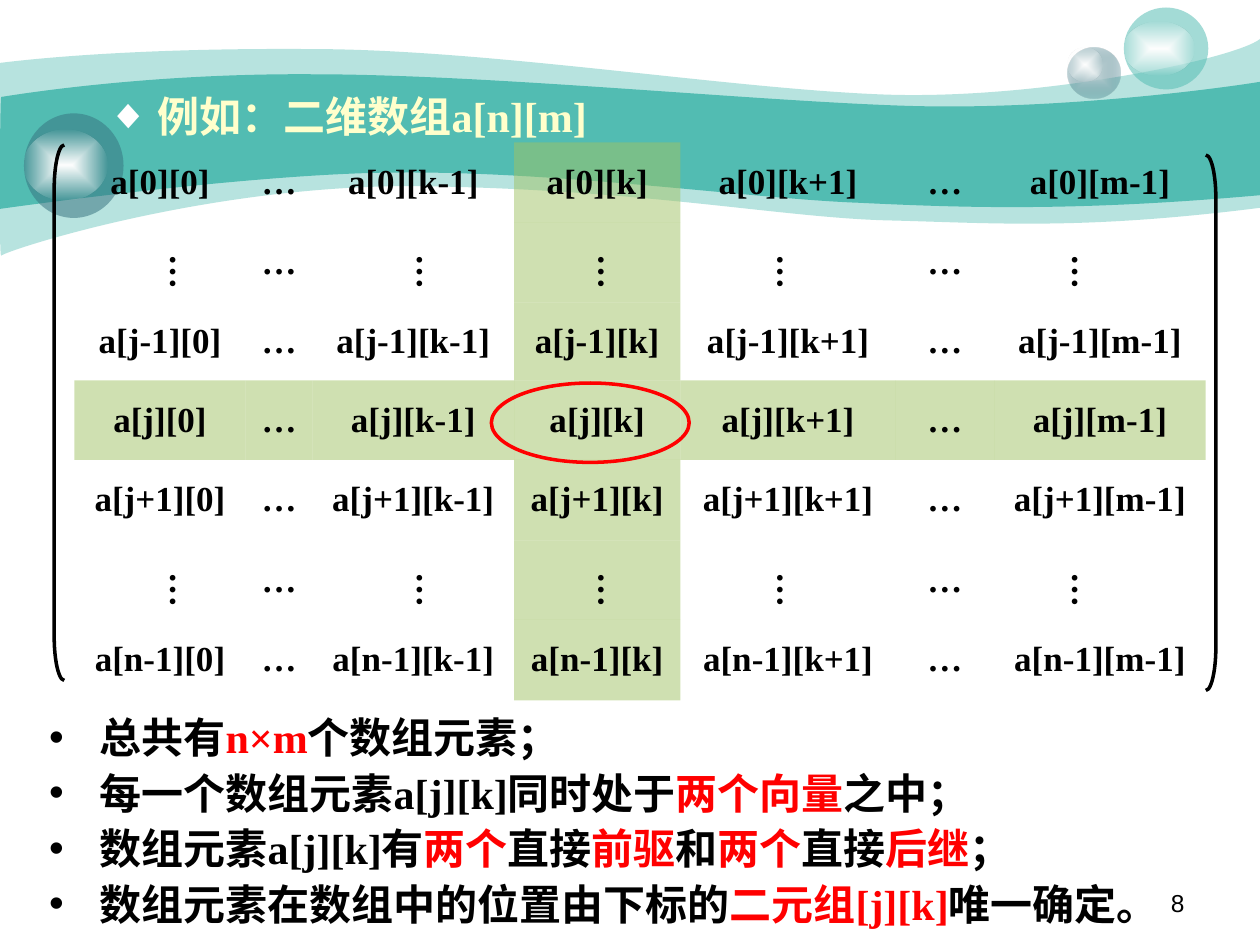
from lxml import etree
from pptx import Presentation
from pptx.dml.color import RGBColor
from pptx.enum.shapes import MSO_SHAPE as Shape
from pptx.enum.text import MSO_ANCHOR as Anchor, MSO_AUTO_SIZE as AutoSize, PP_ALIGN as Align
from pptx.oxml import parse_xml
from pptx.oxml.ns import nsdecls, qn
from pptx.util import Inches, Pt

BLACK = RGBColor(0x00, 0x00, 0x00)
WHITE = RGBColor(0xFF, 0xFF, 0xFF)
RED = RGBColor(0xFF, 0x00, 0x00)
CREAM = RGBColor(0xFF, 0xFF, 0xCC)
TEAL = RGBColor(0x52, 0xBC, 0xB2)
SLATE = RGBColor(0x37, 0x73, 0x7F)
PALE = RGBColor(0xCC, 0xDB, 0xDE)
GREEN = RGBColor(0xA0, 0xC2, 0x64)

SERIF, SANS = "Times New Roman", "Arial"
NO_TABLE_STYLE = "{2D5ABB26-0587-4C30-8999-92F81FD0307C}"


class MatrixSlide:
    def __init__(self, slide, size=20):
        self.slide = slide
        self.shapes = slide.shapes
        self.size = size

    def set_fill(self, fill, color, alpha=100):
        fill.solid()
        fill.fore_color.rgb = color
        if alpha < 100:
            solid = fill._xPr.find(qn("a:solidFill"))
            etree.SubElement(solid[0], qn("a:alpha"), val=str(alpha * 1000))

    def add_run(self, paragraph, text, color=BLACK, size=None, font=SERIF, bold=True):
        run = paragraph.add_run()
        run.text = text
        run.font.name, run.font.size, run.font.bold = font, Pt(size or self.size), bold
        run.font.color.rgb = color

    def outline(self, kind, left, top, width, height, color):
        shape = self.shapes.add_shape(kind, *map(Inches, (left, top, width, height)))
        shape.shadow.inherit = False
        shape.fill.background()
        shape.line.color.rgb = color
        shape.line.width = Pt(2)
        return shape

    def wave(self, start, segments, alpha=100):
        """Closed band; a segment is one point (line) or three (curve)."""
        points = [(Inches(x), Inches(y)) for segment in segments for x, y in segment]
        builder = self.shapes.build_freeform(*map(Inches, start))
        builder.add_line_segments(points, close=True)
        band = builder.convert_to_shape()
        band.shadow.inherit = False
        band.line.fill.background()
        self.set_fill(band.fill, TEAL, alpha)
        # Merge the three lines of each curve segment into one Bézier
        lines = iter(list(band._element.iter(qn("a:lnTo"))))
        for segment in segments:
            steps = [next(lines) for _ in segment]
            if len(steps) == 3:
                curve = etree.Element(qn("a:cubicBezTo"))
                steps[0].addprevious(curve)
                for step in steps:
                    curve.append(step[0])
                    step.getparent().remove(step)

    def ball(self, box, color, alpha=100, fade_to=None):
        """Ellipse with a flat fill, or one that fades outwards to (color, alpha)."""
        ball = self.shapes.add_shape(Shape.OVAL, *map(Inches, box))
        ball.shadow.inherit = False
        ball.line.fill.background()
        self.set_fill(ball.fill, color, alpha)
        if fade_to:
            edge, edge_alpha = fade_to
            solid = ball._element.spPr.find(qn("a:solidFill"))
            solid.getparent().replace(solid, parse_xml(
                f'<a:gradFill {nsdecls("a")}><a:gsLst>'
                f'<a:gs pos="0"><a:srgbClr val="{color}"/></a:gs>'
                f'<a:gs pos="100000"><a:srgbClr val="{edge}">'
                f'<a:alpha val="{edge_alpha * 1000}"/></a:srgbClr></a:gs></a:gsLst>'
                '<a:path path="rect"><a:fillToRect l="50000" t="50000" r="50000" b="50000"/>'
                '</a:path></a:gradFill>'))

    def text_box(self, text, box, align=Align.LEFT, vertical=False, **style):
        text_box = self.shapes.add_textbox(*map(Inches, box))
        frame = text_box.text_frame
        frame.word_wrap = True
        if vertical:
            frame.auto_size = AutoSize.SHAPE_TO_FIT_TEXT
            frame.margin_left = frame.margin_right = Inches(0.05)
            frame.margin_top = frame.margin_bottom = Inches(0.1)
            frame._txBody.bodyPr.set("vert", "eaVert")
        frame.paragraphs[0].alignment = align
        self.add_run(frame.paragraphs[0], text, **style)

    def bullets(self, holder, box, lines, mark, mark_color, margin, spacing):
        """Fill a placeholder with bulleted lines of (text, color) runs."""
        holder.left, holder.top, holder.width, holder.height = map(Inches, box)
        self.shapes._spTree.append(holder._element)  # bring in front of the bands
        frame = holder.text_frame
        frame.word_wrap, frame.auto_size = True, AutoSize.NONE
        frame.vertical_anchor = Anchor.TOP
        for index, runs in enumerate(lines):
            paragraph = frame.add_paragraph() if index else frame.paragraphs[0]
            props = paragraph._p.get_or_add_pPr()
            props.set("marL", str(Inches(margin)))
            props.set("indent", str(Inches(-0.4)))
            color = etree.SubElement(props, qn("a:buClr"))
            etree.SubElement(color, qn("a:srgbClr"), val=str(mark_color))
            etree.SubElement(props, qn("a:buFont"), typeface=SANS)
            etree.SubElement(props, qn("a:buChar"), char=mark)
            paragraph.alignment = Align.LEFT
            paragraph.line_spacing = spacing
            paragraph.space_before = Pt(0)
            for text, run_color in runs:
                self.add_run(paragraph, text, run_color, size=24)

    def matrix(self, left, top, widths, heights, rows, cols):
        """Index table; None stands for omitted rows or columns."""
        table = self.shapes.add_table(
            len(rows), len(cols), Inches(left), Inches(top),
            Inches(sum(widths)), Inches(sum(heights))).table
        table.first_row = table.horz_banding = False
        table._tbl.tblPr.find(qn("a:tableStyleId")).text = NO_TABLE_STYLE
        for column, width in zip(table.columns, widths):
            column.width = Inches(width)
        for row, height in zip(table.rows, heights):
            row.height = Inches(height)
        for r, row in enumerate(rows):
            for c, col in enumerate(cols):
                cell = table.cell(r, c)
                cell.vertical_anchor = Anchor.MIDDLE
                if row == "j" or col == "k":
                    self.set_fill(cell.fill, GREEN, 50)
                else:
                    cell.fill.background()
                if col and not row:
                    continue
                paragraph = cell.text_frame.paragraphs[0]
                paragraph.alignment = Align.CENTER
                self.add_run(paragraph, f"a[{row}][{col}]" if col else "…")


def main():
    prs = Presentation()
    prs.slide_width, prs.slide_height = Inches(10), Inches(7.5)
    page = MatrixSlide(prs.slides.add_slide(prs.slide_layouts[1]))
    heading, points = page.slide.placeholders

    # Background waves
    page.wave((0, 0.5), [
        ((0.24, 0.47), (1.07, 0.38), (2.47, 0.39)), ((3.86, 0.39), (5.75, 0.7), (6.99, 0.75)),
        ((8.22, 0.8), (9.8, 0.47), (10, 0.31)), ((10, 1.65),),
        ((8.58, 1.83), (7.87, 1.77), (7.05, 1.75)), ((6.22, 1.73), (5.15, 1.51), (3.43, 1.48)),
        ((1.72, 1.44), (0.04, 1.99), (0.01, 2.03)), ((-0.01, 2.08), (0, 0.75), (0, 0.5))], alpha=41)
    page.wave((0.01, 0.77), [
        ((0.02, 0.77), (1.1, 0.58), (2.48, 0.59)), ((3.86, 0.59), (5.95, 0.8), (7.18, 0.84)),
        ((8.41, 0.88), (9.76, 0.69), (10, 0.65)), ((10, 1.55),),
        ((8.53, 1.68), (7.65, 1.65), (6.82, 1.61)), ((5.99, 1.58), (4.47, 1.36), (3.17, 1.37)),
        ((2.03, 1.37), (-0.02, 1.66), (-0.01, 1.66)), ((0, 1.66), (0, 0.77), (0.01, 0.77))])

    # Glass balls, each with a white highlight
    clear = (WHITE, 0)
    page.ball((8.47, 0.38, 0.42, 0.4), PALE, fade_to=(SLATE, 31))
    page.ball((8.47, 0.38, 0.28, 0.27), WHITE, fade_to=clear)
    page.ball((8.92, 0.06, 0.67, 0.65), TEAL, 53)
    page.ball((8.92, 0.17, 0.56, 0.43), WHITE, fade_to=clear)
    page.ball((0.19, 0.9, 0.79, 0.83), SLATE, 53)
    page.ball((0.19, 1.03, 0.66, 0.56), WHITE, fade_to=clear)

    # Slide number
    page.text_box("8", (7.17, 7, 2.33, 0.35), Align.RIGHT, size=14, font=SANS, bold=False)

    # Matrix with its vertical dots and brackets
    page.matrix(0.59, 1.13, [1.36, 0.53, 1.6, 1.32, 1.71, 0.78, 1.68],
                [0.64, 0.63, 0.62, 0.63, 0.64, 0.63, 0.64],
                ["0", None, "j-1", "j", "j+1", None, "n-1"],
                ["0", None, "k-1", "k", "k+1", None, "m-1"])
    for dots_top in (1.92, 4.44):
        for dots_left in (1.15, 3.11, 4.55, 5.97, 8.31):
            page.text_box("…", (dots_left, dots_top, 0.53, 0.55), vertical=True)
    for bracket, left, top in ((Shape.LEFT_BRACKET, 0.43, 1.15), (Shape.RIGHT_BRACKET, 9.57, 1.23)):
        page.outline(bracket, left, top, 0.08, 4.25, BLACK).adjustments[0] = 4.4

    # Heading and conclusions
    page.bullets(heading, (0.75, 0.59, 5.39, 0.58), [[("例如：二维数组a[n][m]", CREAM)]],
                 "◆", WHITE, margin=0.4, spacing=1.2)
    page.bullets(points, (0.04, 5.56, 9.8, 1.86), [
        [("总共有", BLACK), ("n×m", RED), ("个数组元素；", BLACK)],
        [("每一个数组元素a[j][k]同时处于", BLACK), ("两个向量", RED), ("之中；", BLACK)],
        [("数组元素a[j][k]有", BLACK), ("两个", RED), ("直接", BLACK), ("前驱", RED), ("和", BLACK),
         ("两个", RED), ("直接", BLACK), ("后继", RED), ("；", BLACK)],
        [("数组元素在数组中的位置由下标的", BLACK), ("二元组[j][k]", RED), ("唯一确定。", BLACK)],
    ], "•", BLACK, margin=0.65, spacing=1.1)

    # Ring around the chosen element
    page.outline(Shape.OVAL, 3.9, 3.04, 1.57, 0.63, RED)

    prs.save("out.pptx")


if __name__ == "__main__":
    main()
